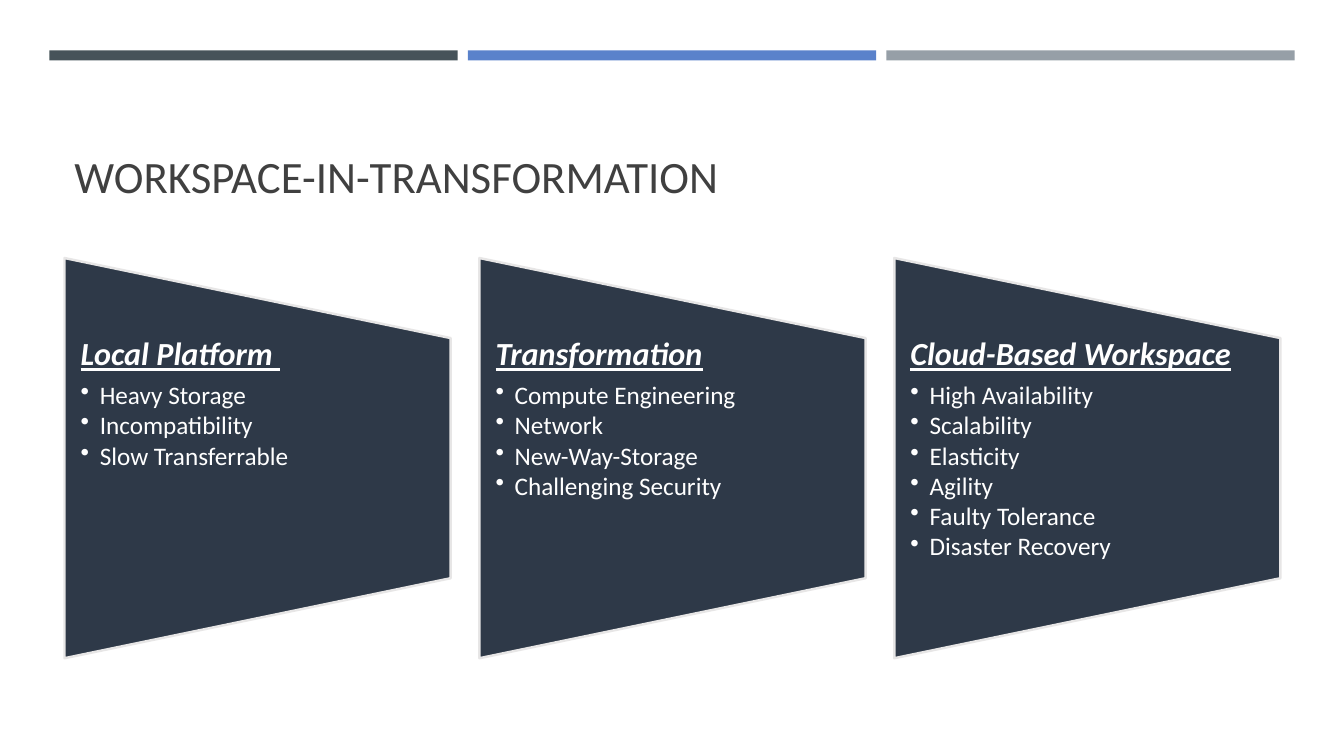
import pptx
import pptx.dml.color
import pptx.enum.shapes
import pptx.enum.text
import pptx.oxml
import pptx.oxml.ns
import pptx.util

Inches = pptx.util.Inches
Pt = pptx.util.Pt

COLORS = {
    "bars": ["465359", "5A82CB", "969FA7"],
    "title": "404040",
    "panel": "2E3948",
    "outline": "E7E6E6",
    "text": "FFFFFF",
}
FONT = "Calibri"
PANELS = [
    ("Local Platform ", ["Heavy Storage", "Incompatibility", "Slow Transferrable"]),
    ("Transformation", ["Compute Engineering", "Network", "New-Way-Storage",
                        "Challenging Security"]),
    ("Cloud-Based Workspace", ["High Availability", "Scalability", "Elasticity",
                               "Agility", "Faulty Tolerance", "Disaster Recovery"]),
]


def rgb(value):
    """Return the colour for a hex string."""
    return pptx.dml.color.RGBColor.from_string(value)


def style_font(font, size, color, emphasis=False):
    """Set typeface, size, colour and heading emphasis."""
    font.name = FONT
    font.size = Pt(size)
    font.color.rgb = rgb(color)
    font.bold = font.italic = font.underline = emphasis


def add_bullet(paragraph):
    """Give a paragraph a round bullet with a hanging indent."""
    properties = paragraph._p.get_or_add_pPr()
    properties.set("marL", str(Inches(0.19)))
    properties.set("indent", str(Inches(-0.19)))
    bullet = pptx.oxml.parse_xml(
        f'<a:buChar {pptx.oxml.ns.nsdecls("a")} char="•"/>')
    properties.append(bullet)


def add_bars(slide, left, top, width, height, gap):
    """Draw the row of equal colour bars."""
    count = len(COLORS["bars"])
    bar_width = (width - gap * (count - 1)) / count
    for index, color in enumerate(COLORS["bars"]):
        bar = slide.shapes.add_shape(
            pptx.enum.shapes.MSO_SHAPE.RECTANGLE,
            Inches(left + index * (bar_width + gap)), Inches(top),
            Inches(bar_width), Inches(height))
        bar.shadow.inherit = False
        bar.fill.solid()
        bar.fill.fore_color.rgb = rgb(color)
        bar.line.fill.background()


def add_title(slide, left, top, width, height):
    """Place the slide title at the bottom of its box."""
    box = slide.shapes.add_textbox(
        Inches(left), Inches(top), Inches(width), Inches(height))
    text_frame = box.text_frame
    text_frame.word_wrap = True
    text_frame.vertical_anchor = pptx.enum.text.MSO_ANCHOR.BOTTOM
    text_frame.text = "WORKSPACE-IN-TRANSFORMATION"
    paragraph = text_frame.paragraphs[0]
    paragraph.line_spacing = 0.9
    style_font(paragraph.runs[0].font, 32, COLORS["title"])


def add_panel(slide, left, top, width, height, heading, items):
    """Draw a sideways trapezoid with a heading and bullets."""
    shape = slide.shapes.add_shape(
        pptx.enum.shapes.MSO_SHAPE.FLOWCHART_MANUAL_OPERATION,
        Inches(left + (width - height) / 2), Inches(top + (height - width) / 2),
        Inches(height), Inches(width))
    shape.rotation = 270
    shape.shadow.inherit = False
    shape.fill.solid()
    shape.fill.fore_color.rgb = rgb(COLORS["panel"])
    shape.line.color.rgb = rgb(COLORS["outline"])
    shape.line.width = Pt(1.75)

    box = slide.shapes.add_textbox(
        Inches(left), Inches(top + height / 5), Inches(width), Inches(height * 0.6))
    text_frame = box.text_frame
    text_frame.word_wrap = True
    text_frame.margin_left = text_frame.margin_right = Inches(0.16)
    text_frame.margin_top = text_frame.margin_bottom = 0
    text_frame.text = "\n".join([heading, *items])
    for index, paragraph in enumerate(text_frame.paragraphs):
        is_heading = index == 0
        paragraph.line_spacing = 0.9
        paragraph.space_after = Pt(7 if is_heading else 2.2)
        if not is_heading:
            paragraph.level = 1
            add_bullet(paragraph)
        style_font(paragraph.runs[0].font, 23 if is_heading else 18,
                   COLORS["text"], is_heading)


def add_panels(slide, left, top, width, height, panel_width):
    """Spread the panels evenly across the box."""
    step = (width - panel_width) / (len(PANELS) - 1)
    for index, (heading, items) in enumerate(PANELS):
        add_panel(slide, left + index * step, top, panel_width, height,
                  heading, items)


def main():
    """Build and save the presentation."""
    presentation = pptx.Presentation()
    presentation.slide_width = Inches(13.33)
    presentation.slide_height = Inches(7.5)
    slide = presentation.slides.add_slide(presentation.slide_layouts[6])
    add_bars(slide, 0.49, 0.5, 12.35, 0.1, 0.1)
    add_title(slide, 0.64, 0.77, 12.06, 1.3)
    add_panels(slide, 0.64, 2.56, 12.06, 3.97, 3.83)
    presentation.save("out.pptx")


if __name__ == "__main__":
    main()
